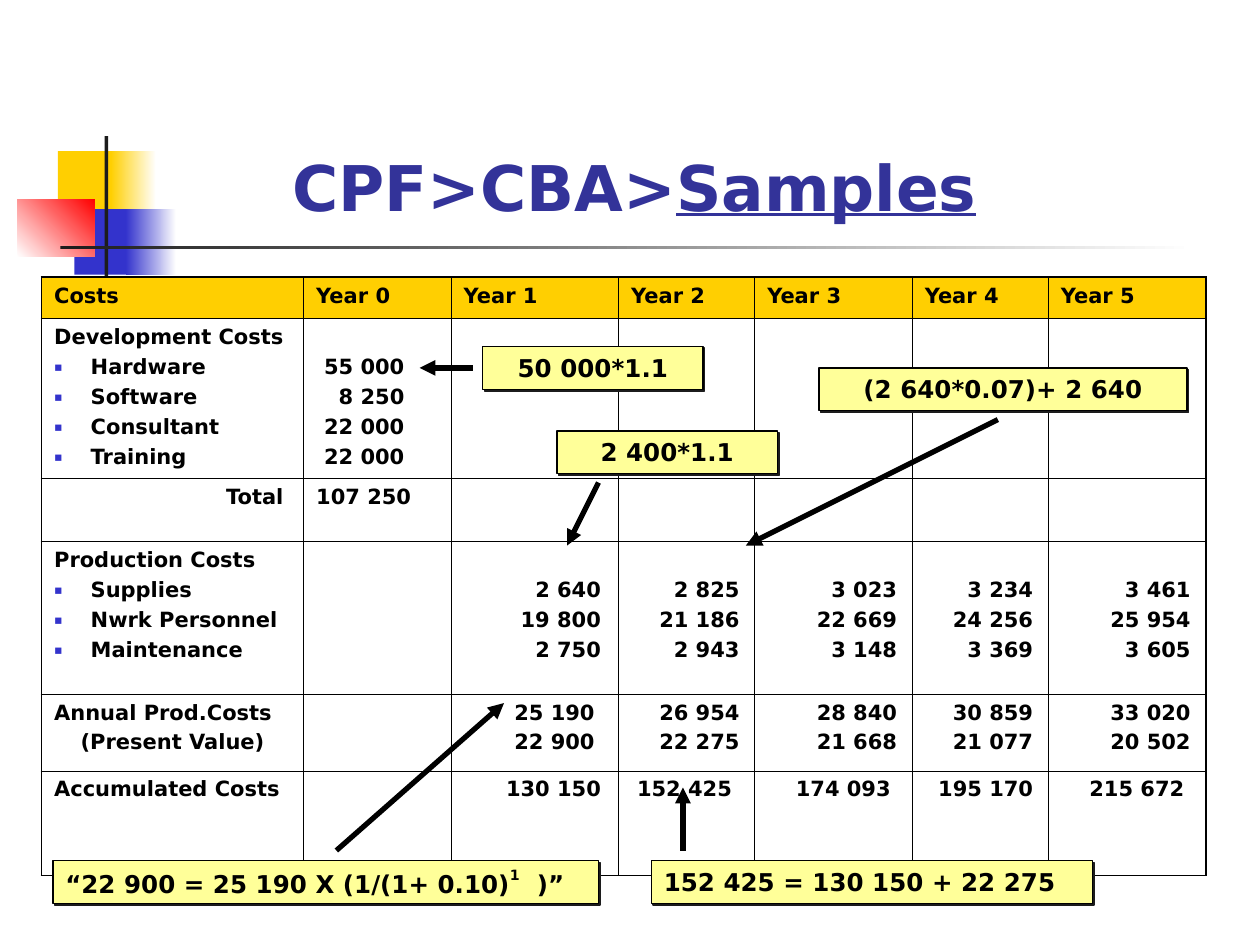
from typing import NamedTuple, Optional

import pptx
import pptx.dml.color
import pptx.enum.shapes
import pptx.enum.text
import pptx.oxml
import pptx.oxml.ns
import pptx.util
from pptx.util import Inches

RGBColor = pptx.dml.color.RGBColor
ALIGN = pptx.enum.text.PP_ALIGN
ANCHOR = pptx.enum.text.MSO_ANCHOR
RECTANGLE = pptx.enum.shapes.MSO_SHAPE.RECTANGLE
STRAIGHT = pptx.enum.shapes.MSO_CONNECTOR.STRAIGHT

BLACK = RGBColor(0x00, 0x00, 0x00)
WHITE = RGBColor(0xFF, 0xFF, 0xFF)
CHARCOAL = RGBColor(0x1C, 0x1C, 0x1C)
GOLD = RGBColor(0xFF, 0xCF, 0x01)
BLUE = RGBColor(0x33, 0x33, 0xCC)
RED = RGBColor(0xFF, 0x00, 0x00)
NAVY = RGBColor(0x33, 0x33, 0x99)
PALE_YELLOW = RGBColor(0xFF, 0xFF, 0x99)

FONT = "DejaVu Sans"
TITLE_FORMAT = {"name": FONT, "size": pptx.util.Pt(36), "bold": True}
TABLE_FORMAT = {"name": FONT, "size": pptx.util.Pt(12), "bold": True}
CALLOUT_FORMAT = {"name": FONT, "size": pptx.util.Pt(14), "bold": True}

TABLE_LEFT, TABLE_TOP = 0.33, 2.2
COLUMN_WIDTHS = [2.08, 1.17, 1.33, 1.08, 1.25, 1.08, 1.25]
ROW_HEIGHTS = [0.33, 1.27, 0.5, 1.21, 0.61, 0.83]
LINE_PITCH = 0.24
OUTER_BORDER, INNER_BORDER = 1.08, 0.45


class Band(NamedTuple):
    left: float
    top: float
    width: float
    height: float
    start: RGBColor
    end: Optional[RGBColor] = None
    angle: int = 0


class Entry(NamedTuple):
    lines: tuple = ()
    align: ALIGN = ALIGN.LEFT
    right: float = 0.1
    skipped: int = 0
    bulleted: bool = False
    last_centered: bool = False


class Callout(NamedTuple):
    left: float
    top: float
    width: float
    runs: tuple
    align: ALIGN = ALIGN.CENTER


class Arrow(NamedTuple):
    tail: tuple
    tip: tuple


BANDS = [
    Band(0.46, 1.2, 0.48, 0.52, GOLD),
    Band(0.88, 1.2, 0.36, 0.52, GOLD, WHITE),
    Band(0.59, 1.66, 0.46, 0.52, BLUE),
    Band(1, 1.66, 0.4, 0.52, BLUE, WHITE),
    Band(0.14, 1.58, 0.61, 0.46, WHITE, RED, 45),
    Band(0.83, 1.08, 0.03, 1.15, CHARCOAL),
    Band(0.48, 1.95, 9, 0.03, CHARCOAL, WHITE),
]


def figures(*lines: str, right: float = 0.12, skipped: int = 0) -> Entry:
    return Entry(lines, ALIGN.RIGHT, right, skipped)


EMPTY = Entry()
COST_ROWS = [
    [Entry((heading,)) for heading in ["Costs"] + [f"Year {n}" for n in range(6)]],
    [Entry(("Development Costs", "Hardware", "Software", "Consultant", "Training"),
           bulleted=True),
     figures("55 000", "8 250", "22 000", "22 000", right=0.37, skipped=1)] + [EMPTY] * 5,
    [figures("Total", right=0.16), Entry(("107 250",))] + [EMPTY] * 5,
    [Entry(("Production Costs", "Supplies", "Nwrk Personnel", "Maintenance"), bulleted=True),
     EMPTY,
     figures("2 640", "19 800", "2 750", right=0.14, skipped=1),
     figures("2 825", "21 186", "2 943", skipped=1),
     figures("3 023", "22 669", "3 148", skipped=1),
     figures("3 234", "24 256", "3 369", skipped=1),
     figures("3 461", "25 954", "3 605", skipped=1)],
    [Entry(("Annual Prod.Costs", "(Present Value)"), last_centered=True), EMPTY,
     figures("25 190", "22 900", right=0.19), figures("26 954", "22 275"),
     figures("28 840", "21 668"), figures("30 859", "21 077"), figures("33 020", "20 502")],
    [Entry(("Accumulated Costs",)), EMPTY,
     figures("130 150", right=0.14), figures("152 425", right=0.18),
     figures("174 093", right=0.17), figures("195 170"), figures("215 672", right=0.17)],
]

CALLOUTS = [
    Callout(3.83, 2.75, 1.75, ("50 000*1.1",)),
    Callout(4.42, 3.42, 1.75, ("2 400*1.1",)),
    Callout(6.5, 2.92, 2.92, ("(2 640*0.07)+ 2 640",)),
    Callout(0.42, 6.83, 4.33, ("“22 900 = 25 190 X (1/(1+ 0.10)", "1", "  )”"), ALIGN.LEFT),
    Callout(5.17, 6.83, 3.5, ("152 425 = 130 150 + 22 275",), ALIGN.LEFT),
]
ARROWS = [
    Arrow((3.75, 2.92), (3.33, 2.92)),
    Arrow((4.75, 3.83), (4.5, 4.33)),
    Arrow((7.92, 3.33), (5.92, 4.33)),
    Arrow((2.67, 6.75), (4, 5.58)),
    Arrow((5.42, 6.75), (5.42, 6.25)),
]


def add_xml(parent, markup: str) -> None:
    namespace = pptx.oxml.ns.nsdecls("a")
    tag, rest = markup[:-1].split(" ", 1) if " " in markup else (markup[:-2], "/")
    parent.append(pptx.oxml.parse_xml(f"{tag} {namespace} {rest}>"))


def add_run(paragraph, text: str, formats: dict, color: RGBColor):
    run = paragraph.add_run()
    run.text = text
    for attribute, value in formats.items():
        setattr(run.font, attribute, value)
    run.font.color.rgb = color
    return run


def draw_band(slide, band: Band) -> None:
    shape = slide.shapes.add_shape(RECTANGLE, *map(Inches, band[:4]))
    shape.shadow.inherit = False
    shape.line.fill.background()
    if band.end is None:
        shape.fill.solid()
        shape.fill.fore_color.rgb = band.start
        return
    shape.fill.gradient()
    shape.fill.gradient_angle = band.angle
    for position, color in enumerate((band.start, band.end)):
        stop = shape.fill.gradient_stops[position]
        stop.position = position
        stop.color.rgb = color


def fill_cell(cell, entry: Entry) -> None:
    margins = {"margin_left": 0.1, "margin_right": entry.right,
               "margin_top": 0.05 + entry.skipped * LINE_PITCH, "margin_bottom": 0.05}
    for attribute, value in margins.items():
        setattr(cell, attribute, Inches(value))
    for index, line in enumerate(entry.lines):
        frame = cell.text_frame
        paragraph = frame.add_paragraph() if index else frame.paragraphs[0]
        paragraph.alignment = entry.align
        if index:
            paragraph.space_before = pptx.util.Pt(3)
            if entry.last_centered:
                paragraph.alignment = ALIGN.CENTER
            if entry.bulleted:
                properties = paragraph._p.get_or_add_pPr()
                properties.set("marL", str(Inches(0.29)))
                properties.set("indent", str(-Inches(0.29)))
                add_xml(properties, f'<a:buClr ><a:srgbClr val="{BLUE}"/></a:buClr>')
                add_xml(properties, '<a:buSzPct val="60000"/>')
                add_xml(properties, f'<a:buFont typeface="{FONT}"/>')
                add_xml(properties, '<a:buChar char="▪"/>')
        add_run(paragraph, line, TABLE_FORMAT, BLACK)


def draw_table(slide) -> None:
    table = slide.shapes.add_table(
        len(ROW_HEIGHTS), len(COLUMN_WIDTHS), Inches(TABLE_LEFT), Inches(TABLE_TOP),
        Inches(sum(COLUMN_WIDTHS)), Inches(sum(ROW_HEIGHTS))).table
    table.first_row = table.horz_banding = False
    for column, width in zip(table.columns, COLUMN_WIDTHS):
        column.width = Inches(width)
    for r, height in enumerate(ROW_HEIGHTS):
        table.rows[r].height = Inches(height)
        for c, entry in enumerate(COST_ROWS[r]):
            cell = table.cell(r, c)
            fill_cell(cell, entry)
            outer_sides = {"L": c == 0, "R": c == len(COLUMN_WIDTHS) - 1,
                           "T": r == 0, "B": r == len(ROW_HEIGHTS) - 1}
            for side, outer in outer_sides.items():
                width = pptx.util.Pt(OUTER_BORDER if outer else INNER_BORDER)
                add_xml(cell._tc.get_or_add_tcPr(),
                        f'<a:ln{side} w="{width}"><a:solidFill><a:srgbClr val="{BLACK}"/>'
                        f'</a:solidFill></a:ln{side}>')
            if r == 0:
                cell.fill.solid()
                cell.fill.fore_color.rgb = GOLD
            else:
                cell.fill.background()


def draw_callout(slide, callout: Callout) -> None:
    box = slide.shapes.add_shape(RECTANGLE, *map(Inches, callout[:3]), Inches(0.34))
    box.shadow.inherit = False
    box.fill.solid()
    box.fill.fore_color.rgb = PALE_YELLOW
    box.line.color.rgb = BLACK
    box.line.width = pptx.util.Pt(0.75)
    add_xml(box._element.spPr.find(pptx.oxml.ns.qn("a:effectLst")),
            f'<a:outerShdw dist="{pptx.util.Pt(1.4)}" dir="2700000" algn="ctr" '
            f'rotWithShape="0"><a:srgbClr val="{CHARCOAL}"/></a:outerShdw>')
    box.text_frame.word_wrap = True
    box.text_frame.vertical_anchor = ANCHOR.TOP
    paragraph = box.text_frame.paragraphs[0]
    paragraph.alignment = callout.align
    for index, text in enumerate(callout.runs):
        run = add_run(paragraph, text, CALLOUT_FORMAT, BLACK)
        if index == 1:
            run._r.get_or_add_rPr().set("baseline", "50000")


def draw_arrow(slide, arrow: Arrow) -> None:
    connector = slide.shapes.add_connector(STRAIGHT, *map(Inches, arrow.tail + arrow.tip))
    connector.line.color.rgb = BLACK
    connector.line.width = pptx.util.Pt(3)
    add_xml(connector.line._get_or_add_ln(), '<a:tailEnd type="triangle"/>')
    add_xml(connector._element.spPr, "<a:effectLst/>")


def draw_title(slide) -> None:
    title = slide.shapes.title
    position = {"left": 1, "top": 0.58, "width": 8.07, "height": 1.25}
    for attribute, value in position.items():
        setattr(title, attribute, Inches(value))
    title.text_frame.vertical_anchor = ANCHOR.BOTTOM
    paragraph = title.text_frame.paragraphs[0]
    paragraph.alignment = ALIGN.CENTER
    add_run(paragraph, "CPF>CBA>", TITLE_FORMAT, NAVY)
    add_run(paragraph, "Samples", {**TITLE_FORMAT, "underline": True}, NAVY)


def main() -> None:
    deck = pptx.Presentation()
    deck.slide_width, deck.slide_height = Inches(10), Inches(7.5)
    slide = deck.slides.add_slide(deck.slide_layouts[5])
    draw_title(slide)
    for band in BANDS:
        draw_band(slide, band)
    draw_table(slide)
    for callout in CALLOUTS:
        draw_callout(slide, callout)
    for arrow in ARROWS:
        draw_arrow(slide, arrow)
    deck.save("out.pptx")


if __name__ == "__main__":
    main()
